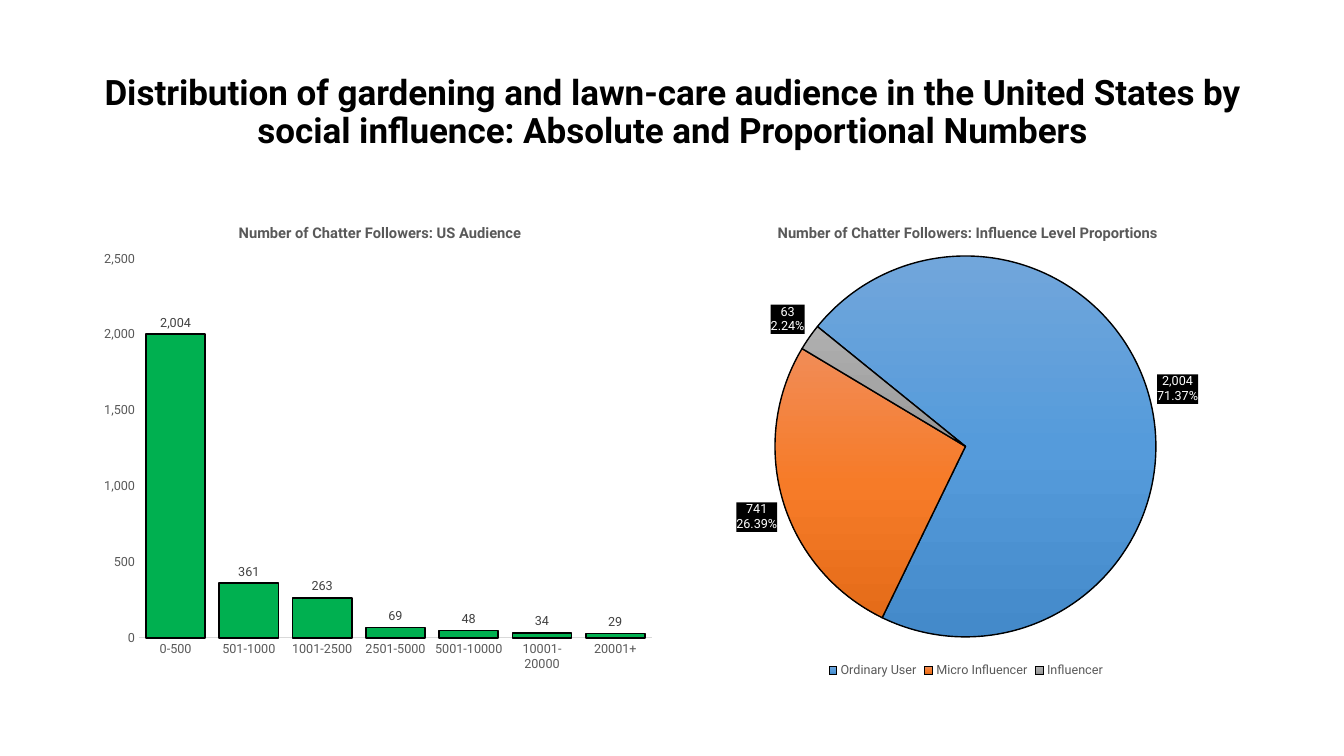
from copy import deepcopy

from lxml import etree
from pptx import Presentation
from pptx import util as u
from pptx.chart.data import CategoryChartData
from pptx.dml.color import RGBColor
from pptx.enum import chart as charts, text
from pptx.oxml import parse_xml
from pptx.oxml.ns import nsdecls, qn

FONT = "Roboto"
HEADING = ("Distribution of gardening and lawn-care audience in the United States "
           "by social influence: Absolute and Proportional Numbers")
HEADING_BOX = (93, 40, 1159, 146)
FOLLOWERS = {
    "title": "Number of Chatter Followers: US Audience",
    "kind": charts.XL_CHART_TYPE.COLUMN_CLUSTERED,
    "box": (93, 202, 572, 480),
    "title_at": (143, 18),
    "plot": (46, 57, 513, 379),
    "values": {"0-500": 2004, "501-1000": 361, "1001-2500": 263, "2501-5000": 69,
               "5001-10000": 48, "10001-20000": 34, "20001+": 29},
}
INFLUENCE = {
    "title": "Number of Chatter Followers: Influence Level Proportions",
    "kind": charts.XL_CHART_TYPE.PIE,
    "box": (680, 202, 572, 480),
    "title_at": (95, 18),
    "plot": (95, 54, 381, 381),
    "values": {"Ordinary User": 2004, "Micro Influencer": 741, "Influencer": 63},
}
SLICE_GRADIENTS = [
    ("71A6DB", "559BDB", "448ACA"),
    ("F18C57", "F67B28", "E56C19"),
    ("AFAFAF", "A5A5A5", "939393"),
]
SLIDE_WIDTH, SLIDE_HEIGHT = 1344, 756
PX = 914400 / 100.8


def px(length):
    return u.Emu(round(length * PX))


def color(value):
    return RGBColor.from_string(value)


def set_font(font, size, value, bold=False):
    formats = {"name": FONT, "size": u.Pt(size), "bold": bold}
    for name, setting in formats.items():
        setattr(font, name, setting)
    font.color.rgb = color(value)


def set_line(line, value, width):
    line.color.rgb = color(value)
    line.width = u.Pt(width)


def place(element, index, lengths, box, inner=False):
    for old in element.findall(qn("c:layout")):
        element.remove(old)
    layout = etree.Element(qn("c:layout"))
    manual = etree.SubElement(layout, qn("c:manualLayout"))
    settings = [("layoutTarget", "inner")] if inner else []
    settings += [("xMode", "edge"), ("yMode", "edge")]
    for name, length, whole in zip("xywh", lengths, box[2:] * 2):
        settings.append((name, f"{length / whole:.4f}"))
    for name, setting in settings:
        etree.SubElement(manual, qn(f"c:{name}")).set("val", setting)
    element.insert(index, layout)


def add_chart(slide, content):
    data = CategoryChartData(number_format="#,##0")
    data.categories = list(content["values"])
    data.add_series("Series 1", list(content["values"].values()))
    box = content["box"]
    chart = slide.shapes.add_chart(content["kind"], *map(px, box), data).chart
    set_font(chart.font, 9, "000000")
    chart.has_legend = False
    chart.has_title = True
    title = chart.chart_title
    title.include_in_layout = False
    title.text_frame.text = content["title"]
    set_font(title.text_frame.paragraphs[0].runs[0].font, 10.5, "595959", True)
    place(title.element, 1, content["title_at"], box)
    plot_area = chart.element.find(".//" + qn("c:plotArea"))
    place(plot_area, 0, content["plot"], box, inner=True)
    return chart


def format_labels(labels, number_format, value):
    formats = {"show_value": True, "number_format": number_format,
               "number_format_is_linked": False,
               "position": charts.XL_LABEL_POSITION.OUTSIDE_END}
    for name, setting in formats.items():
        setattr(labels, name, setting)
    set_font(labels.font, 9, value)


def add_followers(slide):
    chart = add_chart(slide, FOLLOWERS)
    for axis in (chart.category_axis, chart.value_axis):
        axis.has_major_gridlines = False
        axis.major_tick_mark = charts.XL_TICK_MARK.NONE
        axis.minor_tick_mark = charts.XL_TICK_MARK.NONE
        set_font(axis.tick_labels.font, 9, "595959")
    set_line(chart.category_axis.format.line, "D9D9D9", 0.75)
    value_axis = chart.value_axis
    value_axis.format.line.fill.background()
    value_axis.minimum_scale, value_axis.maximum_scale = 0, 2500
    value_axis.major_unit = 500
    value_axis.tick_labels.number_format = "#,##0"
    value_axis.tick_labels.number_format_is_linked = False
    plot = chart.plots[0]
    plot.vary_by_categories = False
    plot.gap_width, plot.overlap = 24, -27
    series = plot.series[0]
    series.format.fill.solid()
    series.format.fill.fore_color.rgb = color("00B050")
    set_line(series.format.line, "000000", 1.25)
    format_labels(series.data_labels, "#,##0", "404040")


def fill_slice(chart, series, index, gradient):
    point = series.points[index]
    fill = point.format.fill
    fill.gradient()
    fill.gradient_angle = 270
    stops = chart.element.findall(".//" + qn("a:gsLst"))[index]
    stops.insert(1, deepcopy(stops[0]))
    for position, (stop, value) in enumerate(zip(fill.gradient_stops, gradient)):
        stop.position = position / 2
        stop.color.rgb = color(value)
    set_line(point.format.line, "000000", 1)


def add_influence(slide):
    chart = add_chart(slide, INFLUENCE)
    chart.has_legend = True
    chart.legend.position = charts.XL_LEGEND_POSITION.BOTTOM
    chart.legend.include_in_layout = False
    set_font(chart.legend.font, 9, "595959")
    plot = chart.plots[0]
    plot.vary_by_categories = True
    series = plot.series[0]
    for index, gradient in enumerate(SLICE_GRADIENTS):
        fill_slice(chart, series, index, gradient)
    labels = series.data_labels
    format_labels(labels, "0.00%", "FFFFFF")
    labels.show_percentage = True
    label_box = parse_xml(
        f'<c:spPr {nsdecls("c", "a")}><a:solidFill><a:srgbClr val="000000"/>'
        "</a:solidFill></c:spPr>")
    label_element = chart.element.find(".//" + qn("c:dLbls"))
    label_element.find(qn("c:txPr")).addprevious(label_box)
    separator = etree.Element(qn("c:separator"))
    separator.text = "\n"
    label_element.find(qn("c:showBubbleSize")).addnext(separator)
    pie = chart.element.find(".//" + qn("c:pieChart"))
    for old in pie.findall(qn("c:firstSliceAng")):
        pie.remove(old)
    etree.SubElement(pie, qn("c:firstSliceAng")).set("val", "309")


def add_heading(slide):
    heading = slide.shapes.title
    heading.left, heading.top, heading.width, heading.height = map(px, HEADING_BOX)
    frame = heading.text_frame
    frame.text = HEADING
    formats = {"word_wrap": True, "auto_size": text.MSO_AUTO_SIZE.NONE,
               "vertical_anchor": text.MSO_ANCHOR.MIDDLE,
               "margin_left": px(5), "margin_right": px(5)}
    for name, setting in formats.items():
        setattr(frame, name, setting)
    paragraph = frame.paragraphs[0]
    paragraph.alignment = text.PP_ALIGN.CENTER
    paragraph.line_spacing = 0.9
    set_font(paragraph.runs[0].font, 25, "000000", True)


def main():
    presentation = Presentation()
    presentation.slide_width = px(SLIDE_WIDTH)
    presentation.slide_height = px(SLIDE_HEIGHT)
    slide = presentation.slides.add_slide(presentation.slide_layouts[5])
    add_heading(slide)
    add_followers(slide)
    add_influence(slide)
    presentation.save("out.pptx")


if __name__ == "__main__":
    main()
